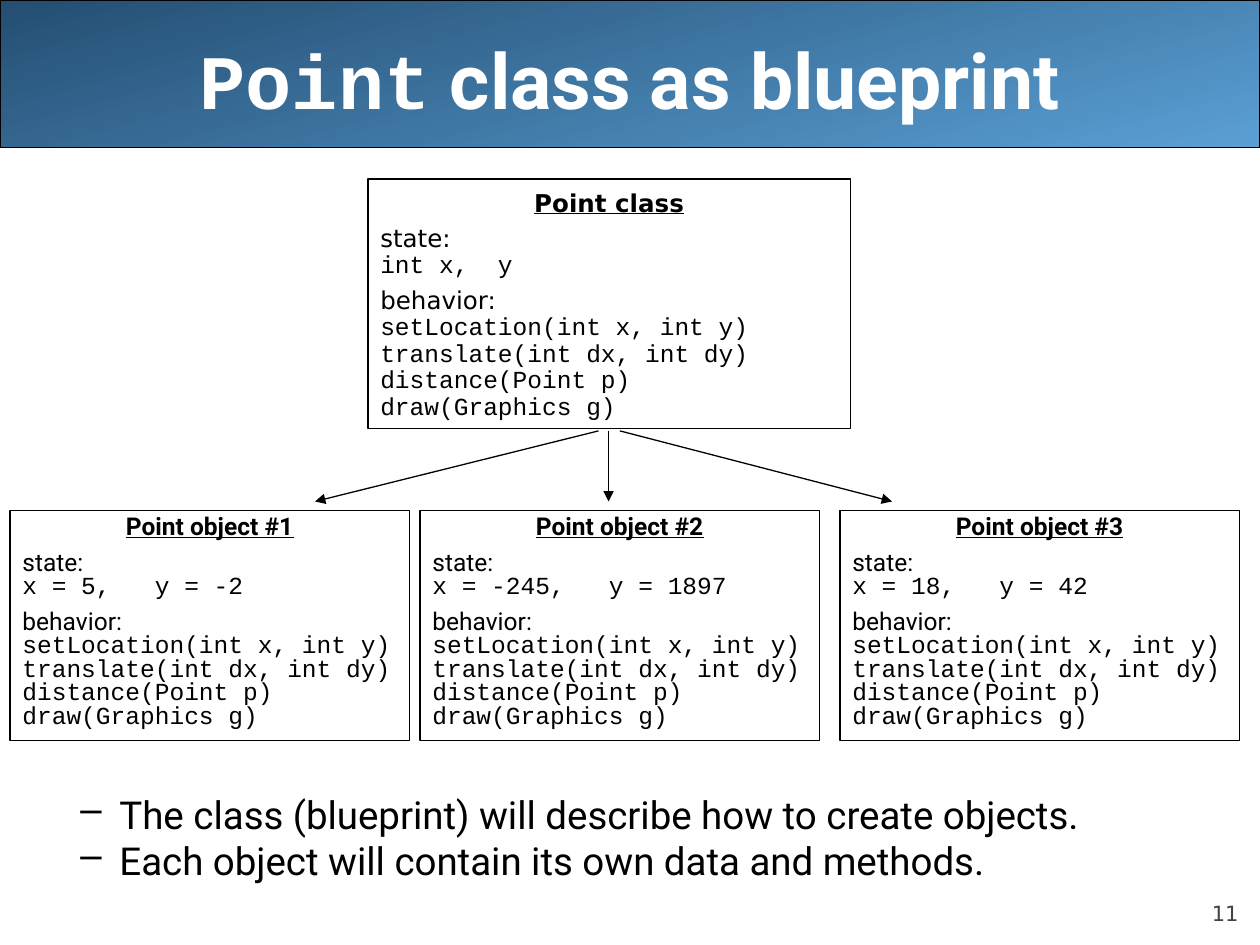
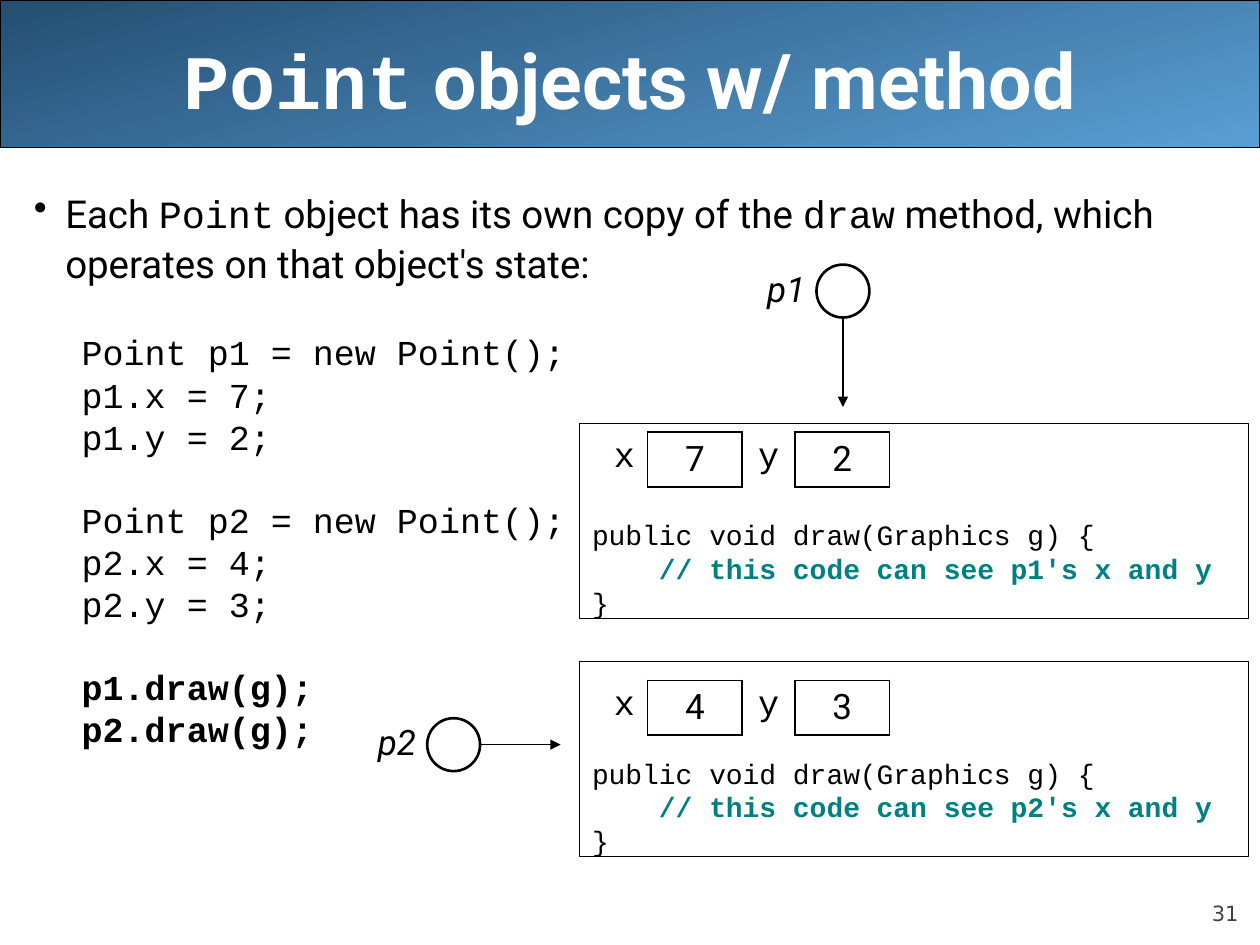
from lxml.etree import SubElement
from pptx import Presentation
from pptx.dml.color import RGBColor as Rgb
from pptx.enum.shapes import MSO_CONNECTOR as Link, MSO_SHAPE as Kind
from pptx.enum.text import MSO_ANCHOR as Anchor, PP_ALIGN as Align
from pptx.oxml.ns import qn
from pptx.util import Emu, Inches, Pt

WIDE, HIGH = 10, 7.5
INK = {"text": "000000", "title": "FFFFFF", "fill": "FFFFFF", "note": "008080",
       "page": "424242", "dark": "244E72", "light": "5A9FD4"}
SANS, MONO, PLAIN = "Roboto", "Courier New", "DejaVu Sans"
BARE = "{2D5ABB26-0587-4C30-8999-92F81FD0307C}"

# Text between backticks is set in the code font.
BLUE = {
    "title": "`Point` class as blueprint", "page": "11",
    "class": ("Point class", "int x,  y"),
    "objects": [("Point object #1", "x = 5,   y = -2"),
                ("Point object #2", "x = -245,   y = 1897"),
                ("Point object #3", "x = 18,   y = 42")],
    "methods": ["setLocation(int x, int y)", "translate(int dx, int dy)",
                "distance(Point p)", "draw(Graphics g)"],
    "arrows": [(4.75, 2.5), (4.83, 4.83), (4.92, 7.08)],
    "points": ["The class (blueprint) will describe how to create objects.",
               "Each object will contain its own data and methods."],
}
DRAW = {
    "title": "`Point` objects w/ method", "page": "31",
    "point": "Each `Point` object has its own copy of the `draw` method, "
             "which operates on that object's state:",
    "code": [["Point p1 = new Point();", "p1.x = 7;", "p1.y = 2;"],
             ["Point p2 = new Point();", "p2.x = 4;", "p2.y = 3;"],
             ["p1.draw(g);", "p2.draw(g);"]],
    # name, x, y, panel top, table top, ring centre, arrow tip
    "objects": [("p1", "7", "2", 3.36, 3.43, (6.69, 2.31), (6.69, 3.23)),
                ("p2", "4", "3", 5.25, 5.4, (3.6, 5.91), (4.45, 5.91))],
}


def paint(item, color):
    item.rgb = Rgb.from_string(INK[color])


def line(text, size, face=SANS, **look):
    return dict(text=text, size=size, face=face, **look)


def write(frame, lines):
    """Fill a text frame with one paragraph for each line."""
    for i, row in enumerate(lines):
        para = frame.paragraphs[0] if i == 0 else frame.add_paragraph()
        if "bullet" in row:
            sign, left, hang = row["bullet"]
            prop = para._p.get_or_add_pPr()
            prop.set("marL", str(Inches(left)))
            prop.set("indent", str(-Inches(hang)))
            SubElement(prop, qn("a:buChar")).set("char", sign)
        para.alignment = row.get("align", Align.LEFT)
        para.line_spacing = row.get("space", 1.0)
        para.space_before = Pt(row.get("before", 0) if i else 0)
        for j, part in enumerate(row["text"].split("`")):
            if not part:
                continue
            run = para.add_run()
            run.text = part
            font = run.font
            font.name = MONO if j % 2 else row["face"]
            font.size = Pt(row["size"])
            font.bold = row.get("bold", False)
            font.italic = row.get("italic", False)
            font.underline = row.get("under", False)
            paint(font.color, row.get("color", "text"))


def label(slide, box, lines, anchor=Anchor.TOP):
    frame = slide.shapes.add_textbox(*map(Inches, box)).text_frame
    frame.word_wrap = True
    frame.vertical_anchor = anchor
    write(frame, lines)
    return frame


def shape(slide, kind, box, fill=None, weight=0.75):
    item = slide.shapes.add_shape(kind, *map(Inches, box))
    item.shadow.inherit = False
    if fill:
        item.fill.solid()
        paint(item.fill.fore_color, fill)
    else:
        item.fill.background()
    paint(item.line.color, "text")
    item.line.width = Pt(weight)
    return item


def panel(slide, box, lines, anchor=Anchor.TOP):
    frame = shape(slide, Kind.RECTANGLE, box).text_frame
    frame.word_wrap = True
    frame.vertical_anchor = anchor
    write(frame, lines)
    return frame


def arrow(slide, start, end):
    item = slide.shapes.add_connector(Link.STRAIGHT, *map(Inches, start + end))
    paint(item.line.color, "text")
    item.line.width = Pt(0.75)
    prop = item._element.spPr
    SubElement(prop.find(qn("a:ln")), qn("a:tailEnd")).set("type", "triangle")
    SubElement(prop, qn("a:effectLst"))


def start(deck, data):
    """Add a slide with the title band, title and page number."""
    slide = deck.slides.add_slide(deck.slide_layouts[6])
    band = shape(slide, Kind.RECTANGLE, (0, 0, WIDE, 1.17))
    band.fill.gradient()
    band.fill.gradient_angle = 285
    for stop, color in zip(band.fill.gradient_stops, ("dark", "light")):
        paint(stop.color, color)
    page = label(slide, (9, 6.95, 0.83, 0.4),
                 [line(data["page"], 12, PLAIN, color="page", align=Align.RIGHT)],
                 Anchor.BOTTOM)
    page.margin_left = page.margin_right = page.margin_top = page.margin_bottom = 0
    label(slide, (0.5, 0, 9, 1.25),
          [line(data["title"], 44, bold=True, color="title", align=Align.CENTER)],
          Anchor.MIDDLE)
    return slide


def card(name, state, face, head, body, gap):
    """Lines of a class or object card; head and body are line spacings."""
    rows = [line(name, 14, face, bold=True, under=True, space=head, align=Align.CENTER)]
    for topic, code in (("state:", [state]), ("behavior:", BLUE["methods"])):
        rows.append(line(topic, 14, face, space=body, before=gap))
        rows += [line(text, 14, MONO, space=body) for text in code]
    return rows


def blueprint(deck):
    slide = start(deck, BLUE)
    panel(slide, (2.92, 1.42, 3.83, 1.98), card(*BLUE["class"], PLAIN, 1.1, 0.9, 5))
    for tail, tip in BLUE["arrows"]:
        arrow(slide, (tail, 3.42), (tip, 3.98))
    for i, (name, state) in enumerate(BLUE["objects"]):
        left = max(0.08, i * WIDE / 3)
        panel(slide, (left, 4.05, 3.17, 1.83), card(name, state, SANS, 0.8, 0.8, 7))
    label(slide, (0.17, 6.3, 9.5, 0.8),
          [line(text, 22, space=0.8, before=5, bullet=("–", 0.68, 0.31))
           for text in BLUE["points"]])


def fields(slide, top, x, y):
    """Draw the x and y fields, with borders round the values only."""
    cols = [("x", 0.37, "R"), (x, 0.75, "LRTB"), ("y", 0.42, "LR"), (y, 0.75, "LRTB")]
    wide = sum(col[1] for col in cols)
    table = slide.shapes.add_table(1, len(cols), *map(Inches, (4.77, top, wide, 0.43))).table
    table.first_row = table.horz_banding = False
    table._tbl.tblPr.find(qn("a:tableStyleId")).text = BARE
    for i, (text, width, sides) in enumerate(cols):
        table.columns[i].width = Inches(width)
        cell = table.cell(0, i)
        face = SANS if len(sides) == 4 else MONO
        write(cell.text_frame, [line(text, 20, face, align=Align.CENTER)])
        prop = cell._tc.get_or_add_tcPr()
        for side in sides:
            edge = SubElement(prop, qn("a:ln" + side), w=str(Pt(1)))
            solid = SubElement(edge, qn("a:solidFill"))
            SubElement(solid, qn("a:srgbClr")).set("val", INK["text"])
        cell.fill.background()


def methods(deck):
    slide = start(deck, DRAW)
    label(slide, (0.17, 1.42, 9.83, 1),
          [line(DRAW["point"], 22, space=1.1, bullet=("•", 0.25, 0.25))])
    last = len(DRAW["code"]) - 1
    label(slide, (0.55, 2.64, 4.1, 3.4),
          [line(text, 20, MONO, space=0.8, before=5 if j else 28, bold=i == last)
           for i, group in enumerate(DRAW["code"]) for j, text in enumerate(group)])
    ring = 0.42
    for name, x, y, top, row, (mid, level), tip in DRAW["objects"]:
        frame = panel(slide, (4.6, top, 5.31, 1.55),
                      [line("public void draw(Graphics g) {", 16, MONO),
                       line(f"    // this code can see {name}'s x and y", 16, MONO,
                            bold=True, color="note"),
                       line("}", 16, MONO)], Anchor.BOTTOM)
        frame.margin_bottom = Emu(0)
        fields(slide, row, x, y)
        left, up = mid - ring / 2, level - ring / 2
        label(slide, (left - 1.11, up - 0.03, 1.12, 0.49),
              [line(name, 20, italic=True, align=Align.RIGHT)])
        arrow(slide, (mid, level), tip)
        shape(slide, Kind.OVAL, (left, up, ring, ring), "fill", 1.5)


def main():
    deck = Presentation()
    deck.slide_width, deck.slide_height = Inches(WIDE), Inches(HIGH)
    blueprint(deck)
    methods(deck)
    deck.save("out.pptx")


if __name__ == "__main__":
    main()
